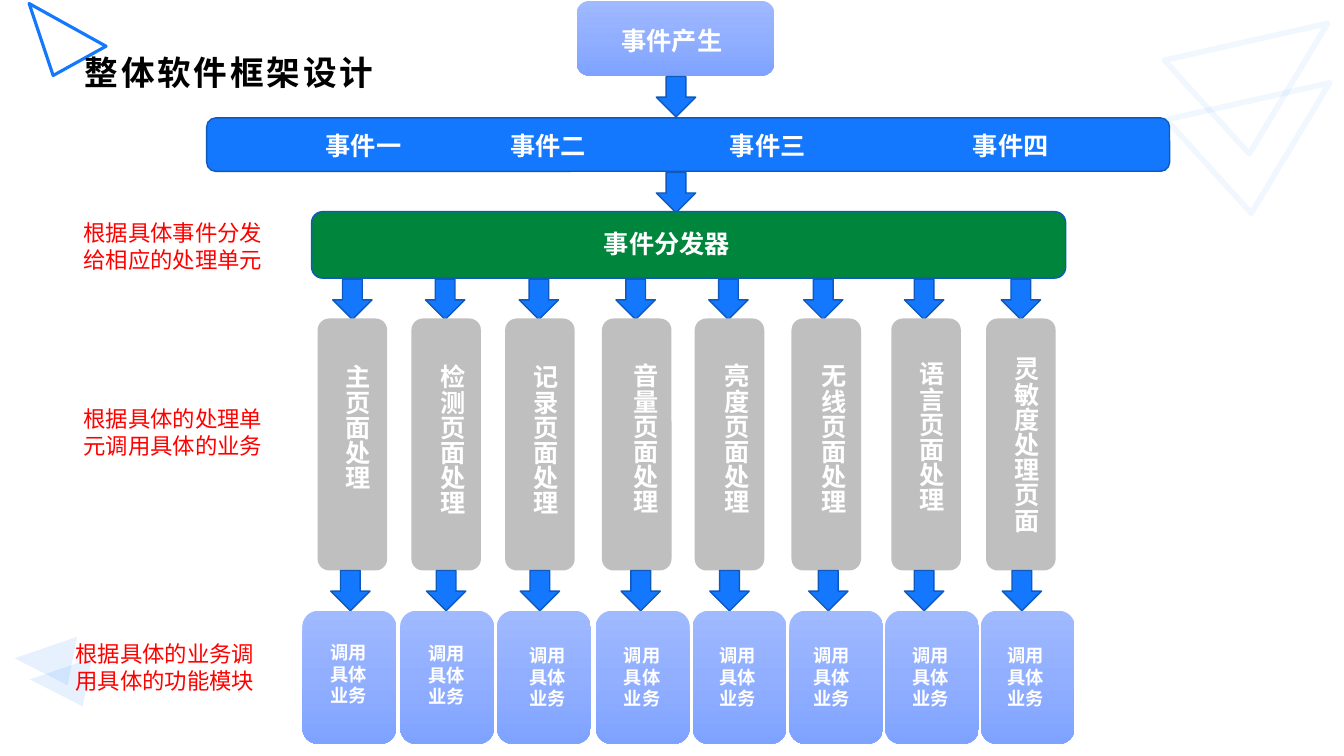
from copy import deepcopy

from lxml.etree import SubElement
from pptx import Presentation
from pptx.dml.color import RGBColor
from pptx.enum.shapes import MSO_SHAPE
from pptx.enum.text import MSO_ANCHOR, MSO_AUTO_SIZE, PP_ALIGN
from pptx.oxml.ns import qn
from pptx.util import Emu, Pt

BLUE, DARK_BLUE, PALE_BLUE = "1478FE", "0F59BC", "E4EEFC"
GREEN, GREY, WHITE, RED, BLACK = "00863C", "BFBFBF", "FFFFFF", "FF0000", "000000"
MODULE_GRADIENT = ((0, "A0BAFF"), (0.5, "92AFFF"), (1, "7EA3FF"))
CJK_FONT = "Noto Sans CJK SC"


def px(length):
    """Convert px, at 100 to the inch, to EMU."""
    return Emu(length * 9144)


def colour(hex_code):
    """Turn a hex string into a colour."""
    return RGBColor.from_string(hex_code)


def fade(parent, percent):
    """Set the opacity of the solid fill held by an element."""
    solid = parent.find(f"{qn('a:solidFill')}/{qn('a:srgbClr')}")
    SubElement(solid, qn("a:alpha"), val=str(percent * 1000))


def write_text(frame, text, size=18, color=WHITE, bold=True, font="Arial",
               align=PP_ALIGN.CENTER, spacing=None):
    """Fill a text frame, one paragraph for each line of text."""
    frame.word_wrap = True
    for index, line in enumerate(text.split("\n")):
        paragraph = frame.add_paragraph() if index else frame.paragraphs[0]
        paragraph.alignment = align
        run = paragraph.add_run()
        run.text = line
        run.font.size, run.font.bold, run.font.name = Pt(size), bold, font
        run.font.color.rgb = colour(color)
        properties = run.font._element
        SubElement(properties, qn("a:ea"), typeface=CJK_FONT)
        if spacing:
            properties.set("spc", str(spacing * 100))


class FrameworkSlide:
    """Hold the slide and draw its elements in one style."""

    def __init__(self, presentation):
        """Add a title-only slide."""
        self.slide = presentation.slides.add_slide(presentation.slide_layouts[5])
        self.shapes = self.slide.shapes

    def block(self, kind, left, top, width, height, fill=None, line=None, weight=1):
        """Draw a preset shape with a plain, graded or empty fill."""
        block = self.shapes.add_shape(kind, px(left), px(top), px(width), px(height))
        block.shadow.inherit = False
        if fill is None:
            block.fill.background()
        elif isinstance(fill, str):
            block.fill.solid()
            block.fill.fore_color.rgb = colour(fill)
        else:
            self.grade(block, fill)
        if line:
            block.line.color.rgb = colour(line)
            block.line.width = Pt(weight)
        else:
            block.line.fill.background()
        return block

    def grade(self, block, stops):
        """Give a block a three-stop gradient from top to bottom."""
        block.fill.gradient()
        block.fill.gradient_angle = 270
        stop_list = next(block._element.spPr.iter(qn("a:gsLst")))
        stop_list.insert(1, deepcopy(stop_list[0]))
        for stop, (position, shade) in zip(block.fill.gradient_stops, stops):
            stop.position = position
            stop.color.rgb = colour(shade)

    def box(self, left, top, width, height, fill, line=None):
        """Draw a rounded box."""
        self.block(MSO_SHAPE.ROUNDED_RECTANGLE, left, top, width, height, fill, line)

    def arrow(self, left, top):
        """Draw a block arrow pointing down."""
        self.block(MSO_SHAPE.DOWN_ARROW, left, top, 39, 40, BLUE, DARK_BLUE)

    def triangle(self, left, top, width, height, turn, apex, line, weight,
                 fill=None, fill_opacity=100, line_opacity=100, flip=False):
        """Draw a turned triangle for decoration."""
        triangle = self.block(MSO_SHAPE.ISOSCELES_TRIANGLE, left, top, width, height,
                              fill, line, weight)
        triangle.rotation = turn
        triangle.adjustments[0] = apex
        properties = triangle._element.spPr
        if flip:
            properties.find(qn("a:xfrm")).set("flipH", "1")
        if fill_opacity < 100:
            fade(properties, fill_opacity)
        if line_opacity < 100:
            fade(properties.find(qn("a:ln")), line_opacity)

    def label(self, text, left, top, width, height, vertical=False, **style):
        """Place a text box that grows with its text."""
        frame = self.shapes.add_textbox(px(left), px(top), px(width), px(height)).text_frame
        write_text(frame, text, **style)
        frame.auto_size = MSO_AUTO_SIZE.SHAPE_TO_FIT_TEXT
        if vertical:
            frame._txBody.bodyPr.set("vert", "eaVert")

    def title(self, text, left, top, width, height):
        """Place the title in front of the decoration."""
        title = self.shapes.title
        title.left, title.top, title.width, title.height = map(px, (left, top, width, height))
        frame = title.text_frame
        frame.margin_left, frame.margin_right = px(11), px(8)
        frame.margin_top = frame.margin_bottom = px(4)
        frame.vertical_anchor = MSO_ANCHOR.MIDDLE
        frame.auto_size = MSO_AUTO_SIZE.NONE
        write_text(frame, text, size=24, color=BLACK, font=CJK_FONT,
                   align=PP_ALIGN.LEFT, spacing=2)
        title._element.getparent().append(title._element)


EVENTS = (("事件一", 269), ("事件二", 452), ("事件三", 670), ("事件四", 911))

UNITS = (
    ("主页面处理", 330, 315, 324, 352),
    ("检测页面处理", 422, 408, 418, 352),
    ("记录页面处理", 515, 501, 511, 352),
    ("音量页面处理", 611, 597, 610, 351),
    ("亮度页面处理", 703, 689, 700, 351),
    ("无线页面处理", 797, 785, 796, 351),
    ("语言页面处理", 897, 884, 894, 349),
    ("灵敏度处理页面", 993, 978, 988, 344),
)

MODULES = (
    (328, 300, 318, 631), (423, 397, 415, 632), (516, 493, 515, 634), (616, 591, 609, 634),
    (704, 687, 704, 634), (802, 783, 797, 634), (897, 878, 895, 634), (994, 973, 989, 634),
)

NOTES = (
    ("根据具体事件分发给相应的处理单元", 73, 213),
    ("根据具体的处理单元调用具体的业务", 73, 397),
    ("根据具体的业务调用具体的功能模块", 65, 630),
)


def main():
    """Build the slide and save it."""
    presentation = Presentation()
    presentation.slide_width, presentation.slide_height = px(1333), px(750)
    framework = FrameworkSlide(presentation)

    framework.triangle(31, -9, 60, 74, 331, 0.77, BLUE, 2.25, flip=True)
    for left, top in ((22, 622), (37, 643)):
        framework.triangle(left, top, 59, 47, 27, 0.77, None, 4, fill=BLUE, fill_opacity=10)
    for left, top in ((1153, 56), (1151, -3)):
        framework.triangle(left, top, 151, 120, 301, 0.24, BLUE, 4, line_opacity=5)

    framework.box(205, 117, 955, 53, BLUE, DARK_BLUE)
    framework.box(572, 1, 196, 74, MODULE_GRADIENT)
    framework.label("事件产生", 575, 20, 183, 40)
    framework.arrow(651, 76)
    for event, left in EVENTS:
        framework.label(event, left, 124, 183, 40)
    framework.arrow(651, 171)
    framework.box(309, 210, 748, 66, GREEN, DARK_BLUE)
    framework.label("事件分发器", 570, 222, 183, 40)

    for unit, arrow_left, box_left, label_left, label_top in UNITS:
        framework.arrow(arrow_left, 277)
        framework.box(box_left, 316, 69, 250, GREY)
        framework.label(unit, label_left, label_top, 50, 199 if len(unit) > 6 else 179,
                        vertical=True)

    for arrow_left, box_left, label_left, label_top in MODULES:
        framework.arrow(arrow_left, 566)
        framework.box(box_left, 606, 93, 132, MODULE_GRADIENT)
        framework.label("调用\n具体业务", label_left, label_top, 58, 76, size=13,
                        align=PP_ALIGN.LEFT)

    framework.title("整体软件框架设计", 73, 48, 1187, 48)
    for note, left, top in NOTES:
        framework.label(note, left, top, 211, 64, size=16, color=RED, bold=False,
                        align=PP_ALIGN.LEFT)

    presentation.save("out.pptx")


if __name__ == "__main__":
    main()
